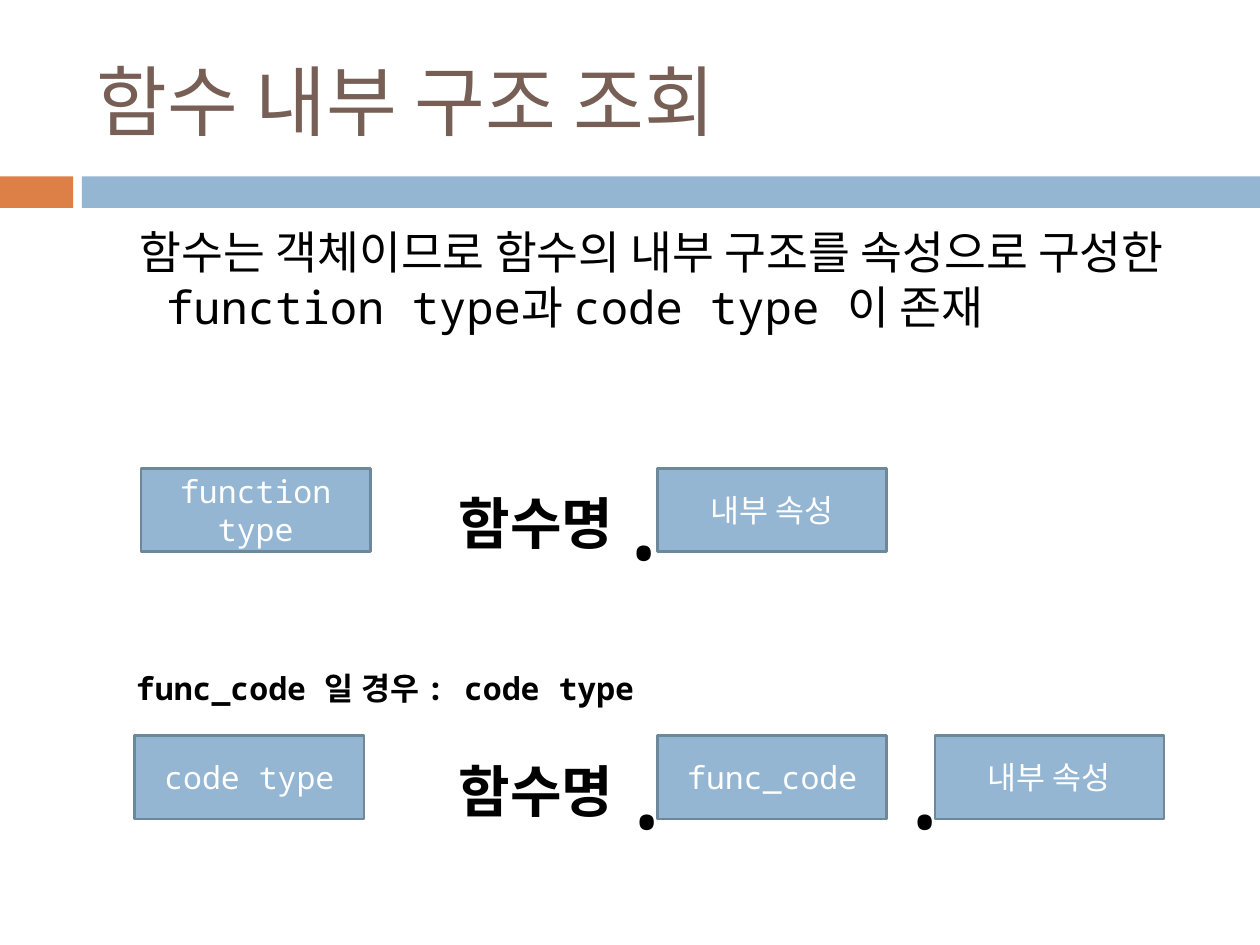
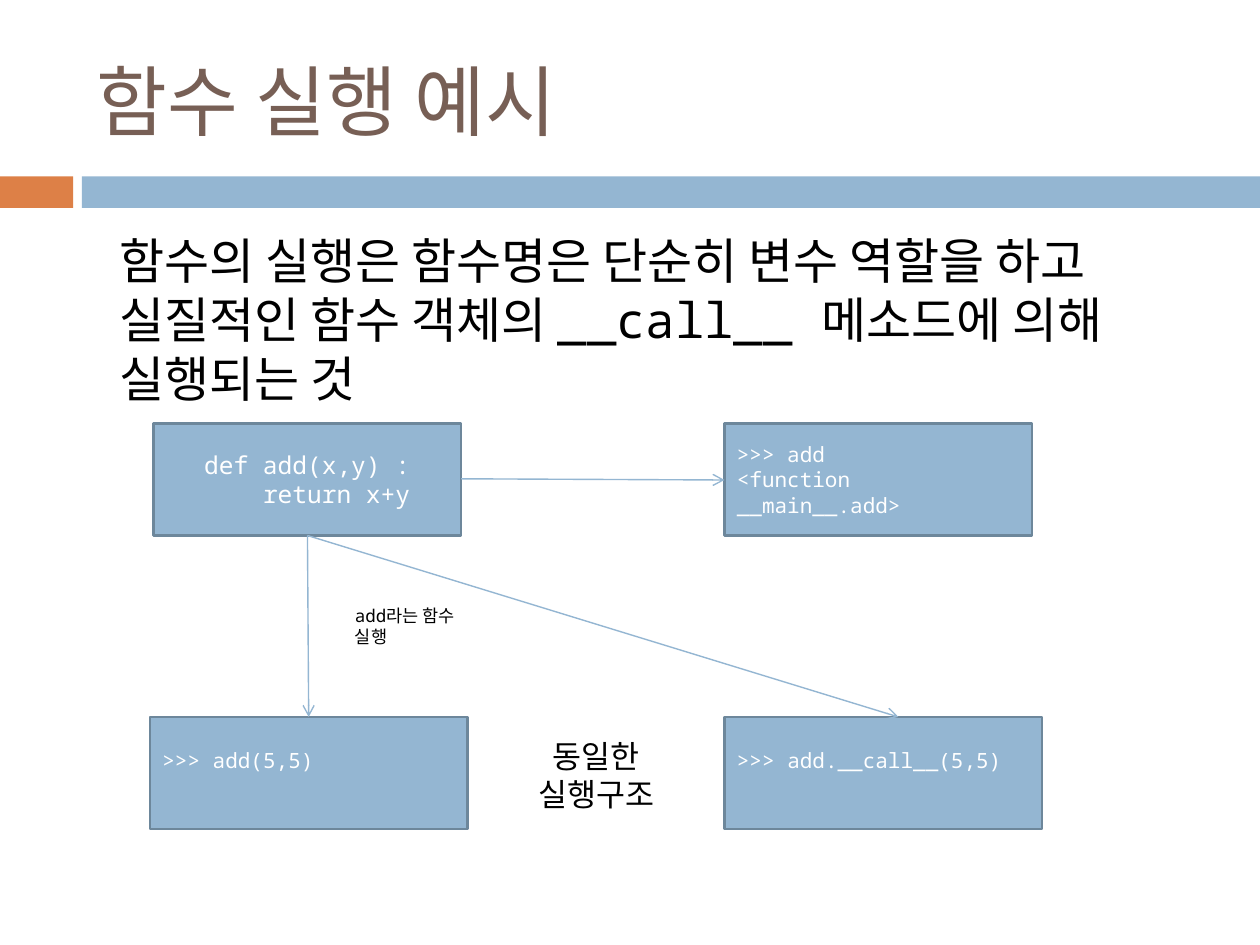
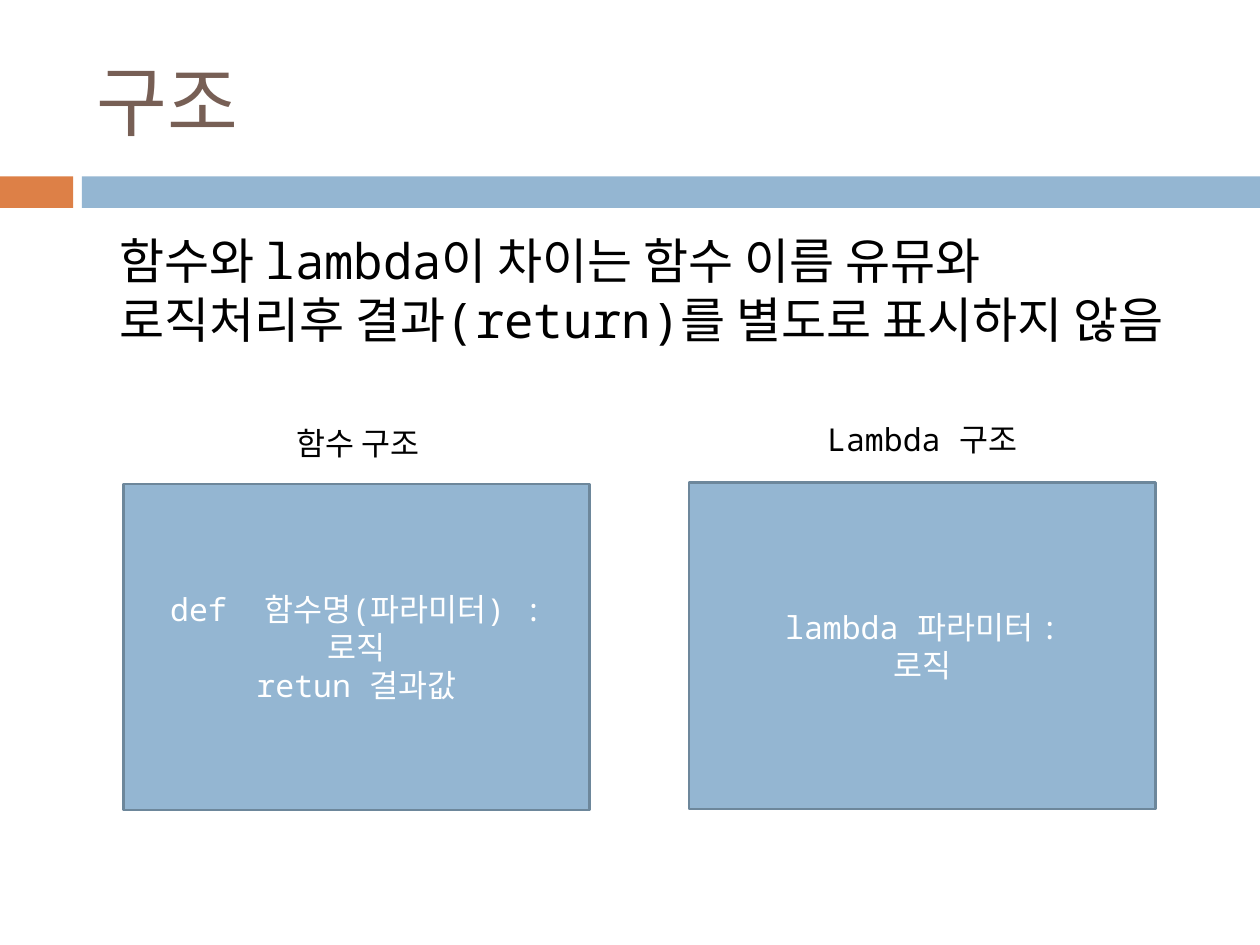
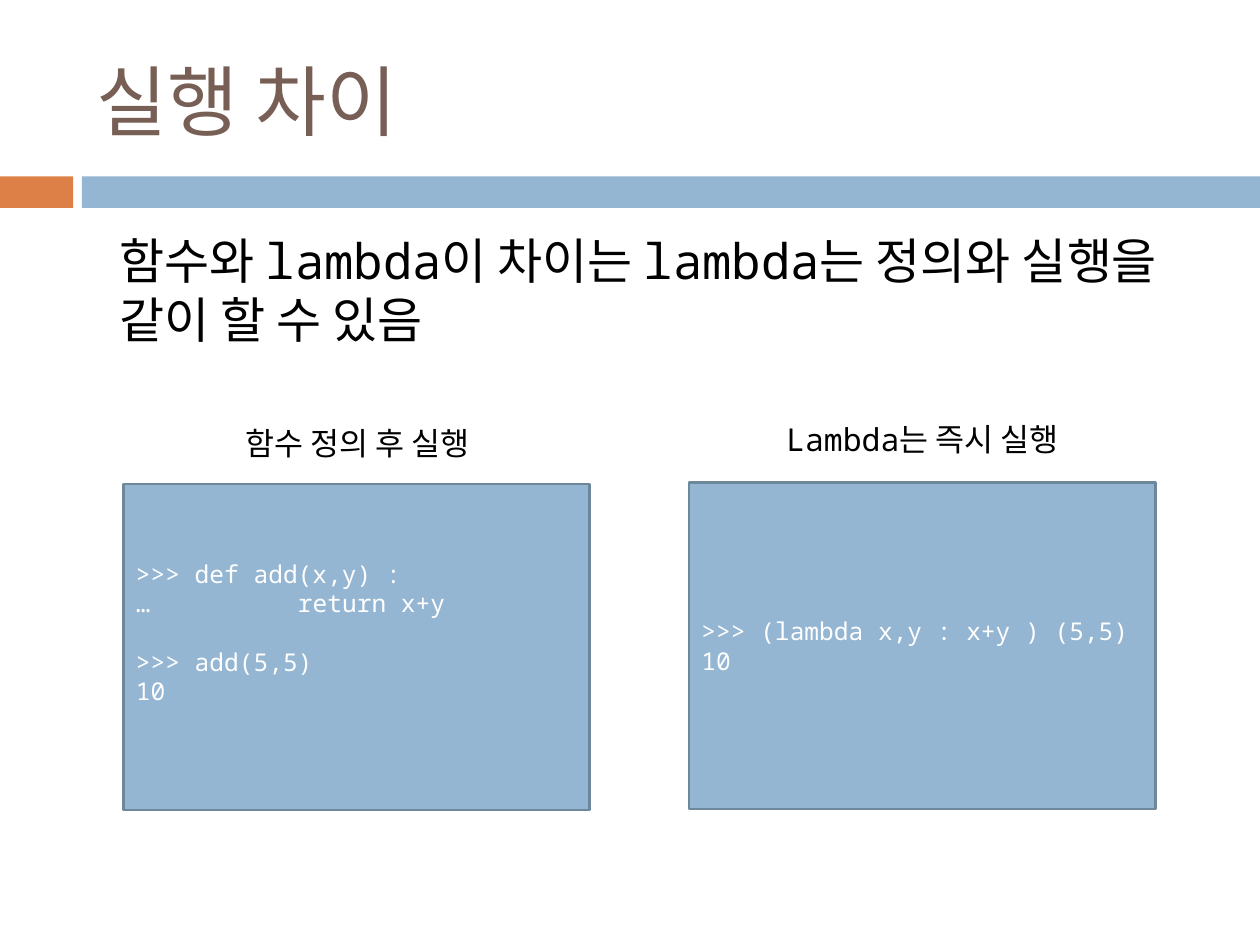
"""Build four slides on Python function structure, execution and lambdas."""
from dataclasses import dataclass

from lxml.etree import SubElement
from pptx import Presentation
from pptx.dml.color import RGBColor
from pptx.enum.shapes import MSO_CONNECTOR, MSO_SHAPE
from pptx.enum.text import MSO_ANCHOR, MSO_AUTO_SIZE, PP_ALIGN
from pptx.oxml.ns import qn
from pptx.presentation import Presentation as Deck
from pptx.slide import Slide, SlideLayout
from pptx.text.text import TextFrame
from pptx.util import Pt

FONT = "Noto Sans Mono"
ORANGE = RGBColor(0xDD, 0x80, 0x47)
BLUE = RGBColor(0x94, 0xB6, 0xD2)
OUTLINE = RGBColor(0x6D, 0x87, 0x9B)
BROWN = RGBColor(0x77, 0x5F, 0x55)
BLACK = RGBColor(0, 0, 0)
WHITE = RGBColor(0xFF, 0xFF, 0xFF)

INSET = 3.6
LINE_12 = 14.5
LINE_14 = 16.75
CODE_INDENT = 33.6
RETURN_TAB = 92.6


@dataclass(frozen=True)
class Area:
    left: float
    top: float
    width: float
    height: float

    def lengths(self) -> tuple[Pt, Pt, Pt, Pt]:
        return Pt(self.left), Pt(self.top), Pt(self.width), Pt(self.height)


@dataclass(frozen=True)
class Box:
    area: Area
    text: str
    size: float = 18
    align: PP_ALIGN = PP_ALIGN.CENTER
    room_below: float = 0


@dataclass(frozen=True)
class Label:
    area: Area
    text: str
    size: float = 18
    align: PP_ALIGN = PP_ALIGN.CENTER
    bold: bool = False


@dataclass(frozen=True)
class Arrow:
    start: tuple[float, float]
    end: tuple[float, float]


@dataclass(frozen=True)
class Lead:
    text: str
    area: Area = Area(36, 128.2, 648, 102.2)
    size: float = 28
    margin: float = 25.2
    hanging: float = 0


TITLE_AREA = Area(48.2, 18, 642.2, 77.8)
BANDS = ((Area(0, 100.8, 41.8, 18), ORANGE), (Area(46.8, 100.8, 673.2, 18), BLUE))


def write(frame: TextFrame, text: str, size: float, color: RGBColor,
          align: PP_ALIGN, bold: bool = False) -> None:
    """Fill a text frame and format all of its runs alike."""
    frame.text = text
    frame.word_wrap = True
    for paragraph in frame.paragraphs:
        paragraph.alignment = align
        for run in paragraph.runs:
            run.font.name = FONT
            run.font.size = Pt(size)
            run.font.bold = bold
            run.font.color.rgb = color


def add_box(slide: Slide, box: Box) -> TextFrame:
    """Draw a blue outlined box and return its text frame."""
    shape = slide.shapes.add_shape(MSO_SHAPE.RECTANGLE, *box.area.lengths())
    shape.shadow.inherit = False
    shape.fill.solid()
    shape.fill.fore_color.rgb = BLUE
    shape.line.color.rgb = OUTLINE
    shape.line.width = Pt(1.5)
    frame = shape.text_frame
    write(frame, box.text, box.size, WHITE, box.align)
    frame.vertical_anchor = MSO_ANCHOR.MIDDLE
    frame.margin_bottom = Pt(INSET + box.room_below)
    return frame


def add_label(slide: Slide, label: Label) -> None:
    """Draw black text without a frame."""
    frame = slide.shapes.add_textbox(*label.area.lengths()).text_frame
    write(frame, label.text, label.size, BLACK, label.align, label.bold)


def add_arrow(slide: Slide, arrow: Arrow) -> None:
    """Draw a thin blue line with an open arrowhead at its end."""
    ends = [Pt(value) for value in (*arrow.start, *arrow.end)]
    connector = slide.shapes.add_connector(MSO_CONNECTOR.STRAIGHT, *ends)
    connector.line.color.rgb = BLUE
    connector.line.width = Pt(0.79)
    SubElement(connector.line._get_or_add_ln(), qn("a:tailEnd")).set("type", "arrow")
    SubElement(connector.element.spPr, qn("a:effectLst"))


def add_bands(slide: Slide, layout: SlideLayout) -> None:
    """Draw the two bands and hand them over to the shared layout."""
    for number, (area, color) in enumerate(BANDS):
        band = slide.shapes.add_shape(MSO_SHAPE.RECTANGLE, *area.lengths())
        band.shadow.inherit = False
        band.fill.solid()
        band.fill.fore_color.rgb = color
        band.line.fill.background()
        band.element.nvSpPr.cNvPr.set("id", str(20 + number))
        layout.shapes.element.insert(2 + number, band.element)


def add_topic(deck: Deck, title: str, lead: Lead) -> Slide:
    """Add a slide with its title and lead sentence."""
    slide = deck.slides.add_slide(deck.slide_layouts[1])
    heading, body = slide.placeholders
    for holder, area in ((heading, TITLE_AREA), (body, lead.area)):
        holder.left, holder.top, holder.width, holder.height = area.lengths()
    write(heading.text_frame, title, 44, BROWN, PP_ALIGN.LEFT)
    heading.text_frame.vertical_anchor = MSO_ANCHOR.MIDDLE
    write(body.text_frame, lead.text, lead.size, BLACK, PP_ALIGN.LEFT)
    body.text_frame.auto_size = MSO_AUTO_SIZE.NONE
    sentence = body.text_frame.paragraphs[0]
    sentence.level = 1
    sentence.space_before = Pt(5.5)
    properties = sentence._p.get_or_add_pPr()
    properties.set("marL", str(Pt(lead.margin + lead.hanging)))
    properties.set("indent", str(-Pt(lead.hanging)))
    SubElement(properties, qn("a:buNone"))
    return slide


def add_comparison(slide: Slide, captions: tuple[str, str],
                   boxes: tuple[tuple[str, float], tuple[str, float]],
                   size: float, align: PP_ALIGN) -> list[TextFrame]:
    """Set a function and a lambda side by side under captions."""
    places = ((70.6, 276.5, 105.1, 239), (393.8, 275.8, 427.7, 236.2))
    frames = []
    for (left, top, _, _), (text, room_below) in zip(places, boxes):
        area = Area(left, top, 266.4, 186.5)
        frames.append(add_box(slide, Box(area, text, size, align, room_below)))
    for (_, _, left, top), caption in zip(places, captions):
        add_label(slide, Label(Area(left, top, 198.7, 28.8), caption))
    return frames


def build_structure(deck: Deck) -> None:
    """Show how attributes of a function and its code are reached."""
    slide = add_topic(deck, "함수 내부 구조 조회", Lead(
        "함수는 객체이므로 함수의 내부 구조를 속성으로 구성한 function type과 code type 이 존재",
        Area(36.7, 124.6, 648, 105.8), 26, 36, 15))
    add_bands(slide, deck.slide_layouts[1])
    function_row, code_row = 267.8, 420.5
    for left, top, text in (
        (80.6, function_row, "function type"),
        (375.8, function_row, "내부 속성"),
        (77, code_row, "code type"),
        (375.8, code_row, "func_code"),
        (534.2, code_row, "내부 속성"),
    ):
        add_box(slide, Box(Area(left, top, 131, 47.5), text))
    for top in (function_row, code_row):
        add_label(slide, Label(Area(247, top + 8, 118.8, 46), "함수명", 32, bold=True))
    for left, top in ((341.3, function_row - 17), (342.7, code_row - 16),
                      (501.8, code_row - 16)):
        add_label(slide, Label(Area(left, top, 18.7, 60.5), ".", 66, PP_ALIGN.LEFT))
    add_label(slide, Label(Area(70.6, 378.7, 329.8, 28.8),
                           "func_code 일 경우 : code type", 18, PP_ALIGN.LEFT, True))


def build_execution(deck: Deck) -> None:
    """Show that calling a function equals calling its call method."""
    slide = add_topic(deck, "함수 실행 예시", Lead(
        "함수의 실행은 함수명은 단순히 변수 역할을 하고 실질적인 함수 객체의 "
        "__call__ 메소드에 의해 실행되는 것"))
    upper, lower, height = 241.9, 409.7, 64.1
    definition = add_box(slide, Box(Area(87.8, upper, 175.7, height),
                                    "def add(x,y) :\nreturn x+y", 14))
    definition.paragraphs[1]._p.get_or_add_pPr().set("marL", str(Pt(CODE_INDENT)))
    for left, text in ((85.7, ">>> add(5,5)"), (414, ">>> add.__call__(5,5)")):
        add_box(slide, Box(Area(left, lower, 181.4, height), text, 12,
                           PP_ALIGN.LEFT, LINE_12))
    add_box(slide, Box(Area(414, upper, 175.7, height),
                       ">>> add\n<function __main__.add>", 12, PP_ALIGN.LEFT))
    below_definition = (175.7, upper + height)
    for arrow in (Arrow((263.5, 273.6), (414, 274.3)),
                  Arrow(below_definition, (176.4, lower)),
                  Arrow(below_definition, (513.4, lower))):
        add_arrow(slide, arrow)
    add_label(slide, Label(Area(195.8, 342, 90.7, 31.7), "add라는 함수\n실행", 10,
                           PP_ALIGN.LEFT))
    add_label(slide, Label(Area(286.6, 417.6, 108, 51.1), "동일한 실행구조"))


def build_syntax(deck: Deck) -> None:
    """Compare the syntax of a function and a lambda."""
    slide = add_topic(deck, "구조", Lead(
        "함수와 lambda이 차이는 함수 이름 유뮤와 로직처리후 결과(return)를 별도로 표시하지 않음"))
    add_comparison(slide, ("함수 구조", "Lambda 구조"),
                   (("def  함수명(파라미터) :\n로직\nretun 결과값", 0),
                    ("lambda 파라미터 :\n로직", 0)), 18, PP_ALIGN.CENTER)


def build_difference(deck: Deck) -> None:
    """Compare how a function and a lambda are run."""
    slide = add_topic(deck, "실행 차이", Lead(
        "함수와 lambda이 차이는 lambda는 정의와 실행을 같이 할 수 있음"))
    session, _ = add_comparison(
        slide, ("함수 정의 후 실행", "Lambda는 즉시 실행"),
        ((">>> def add(x,y) :\n…\treturn x+y\n>>> add(5,5)\n10", LINE_14),
         (">>> (lambda x,y : x+y ) (5,5)\n10", 0)), 14, PP_ALIGN.LEFT)
    _, result, call, _ = session.paragraphs
    stops = SubElement(result._p.get_or_add_pPr(), qn("a:tabLst"))
    stop = SubElement(stops, qn("a:tab"))
    stop.set("pos", str(Pt(RETURN_TAB)))
    stop.set("algn", "l")
    call.space_before = Pt(LINE_14)


def main() -> None:
    """Build and save the deck."""
    deck = Presentation()
    deck.slide_width, deck.slide_height = Pt(720), Pt(540)
    for build in (build_structure, build_execution, build_syntax, build_difference):
        build(deck)
    deck.save("out.pptx")


main()
